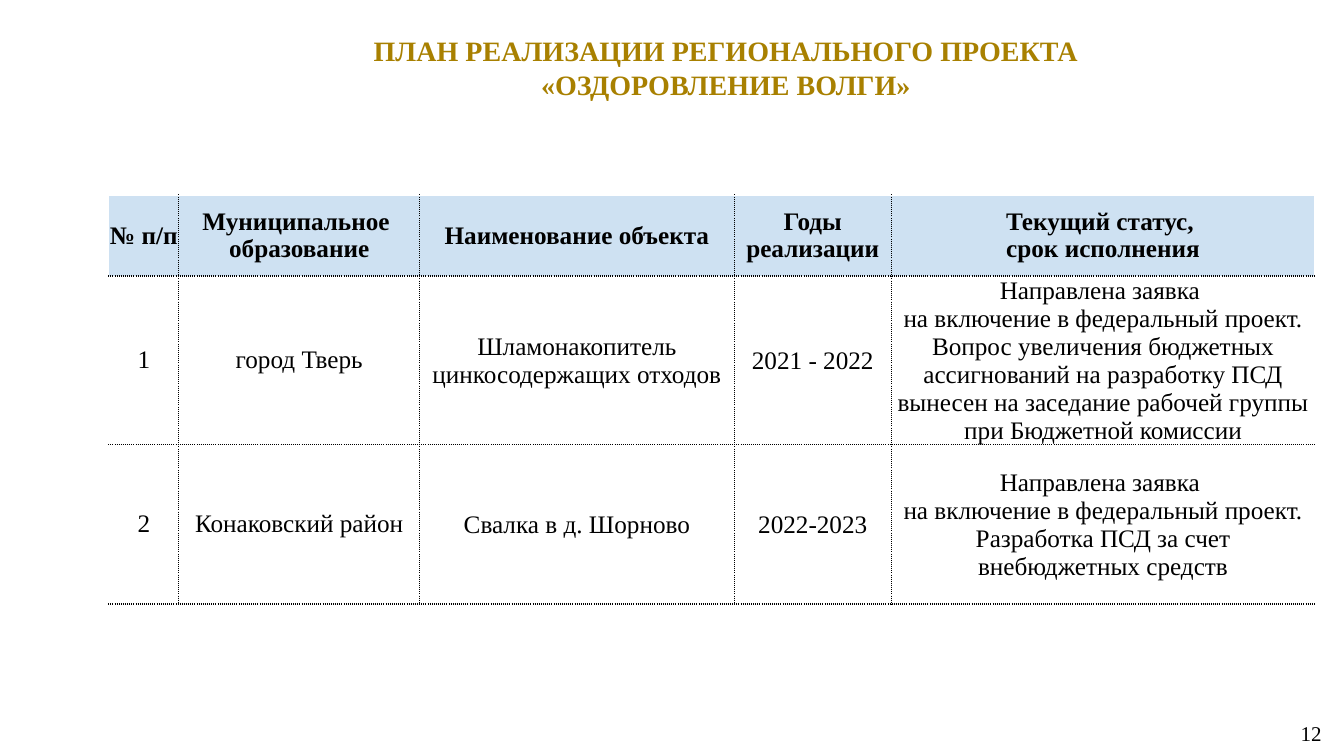
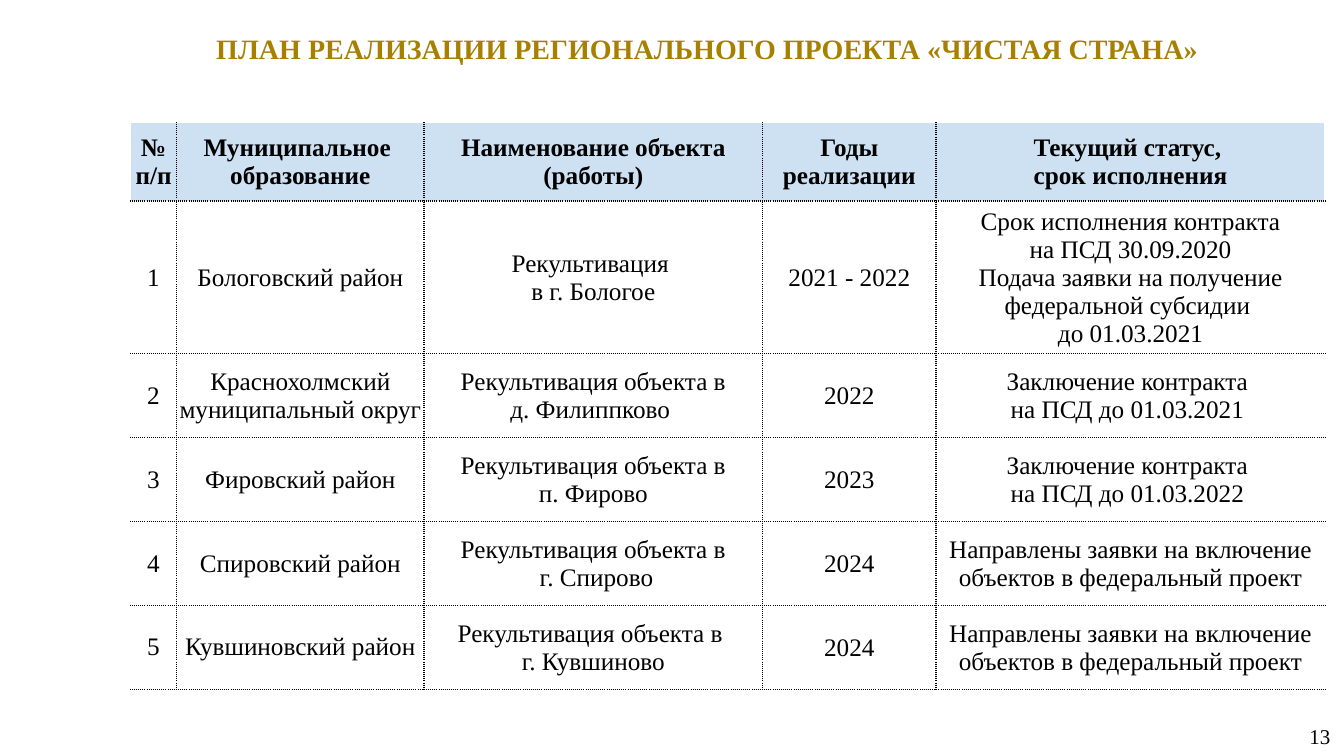
from dataclasses import dataclass

from lxml import etree
from pptx import Presentation
from pptx.dml.color import RGBColor
from pptx.enum.text import MSO_ANCHOR, PP_ALIGN
from pptx.oxml.ns import qn
from pptx.util import Inches, Pt

CENTER = PP_ALIGN.CENTER
TOP = MSO_ANCHOR.TOP
MIDDLE = MSO_ANCHOR.MIDDLE


@dataclass(frozen=True)
class Theme:
    font: str = "Times New Roman"
    ink: str = "000000"
    paper: str = "FFFFFF"
    gold: str = "A88000"
    header: str = "CEE1F2"
    title_size: int = 20
    table_size: int = 18
    number_size: int = 15
    border: int = 1
    cell_pad: float = 0.01


class Deck:
    def __init__(self, theme):
        self.theme = theme
        self.prs = Presentation()
        self.prs.slide_width = Inches(13.33)
        self.prs.slide_height = Inches(7.5)
        self.s = None

    def x(self, percent):
        return round(self.prs.slide_width * percent / 100)

    def y(self, percent):
        return round(self.prs.slide_height * percent / 100)

    def slide(self):
        self.s = self.prs.slides.add_slide(self.prs.slide_layouts[6])

    def add_text(self, tf, text, size, color, bold=False):
        paragraphs = (text,) if isinstance(text, str) else text
        for i, paragraph in enumerate(paragraphs):
            p = tf.paragraphs[0] if i == 0 else tf.add_paragraph()
            p.alignment = CENTER
            for j, line in enumerate(paragraph.split("\n")):
                if j:
                    p.add_line_break()
                r = p.add_run()
                r.text = line
                r.font.name = self.theme.font
                r.font.size = Pt(size)
                r.font.bold = bold
                r.font.color.rgb = RGBColor.from_string(color)

    def box(self, place, pad, anchor, text, size, color, bold=False):
        left, top, width, height = place
        sp = self.s.shapes.add_textbox(self.x(left), self.y(top), self.x(width), self.y(height))
        tf = sp.text_frame
        tf.word_wrap = True
        tf.vertical_anchor = anchor
        tf.margin_left = tf.margin_right = Inches(pad)
        tf.margin_top = tf.margin_bottom = Inches(pad / 2)
        self.add_text(tf, text, size, color, bold)

    def title(self, text, place, pad):
        self.box(place, pad, TOP, text, self.theme.title_size, self.theme.gold, True)

    def number(self, text, place):
        self.box(place, 0.08, MIDDLE, text, self.theme.number_size, self.theme.ink)

    def borders(self, cell, white_sides):
        tc_pr = cell._tc.get_or_add_tcPr()
        for i, side in enumerate("LRTB"):
            white = side in white_sides
            ln = etree.Element(qn(f"a:ln{side}"), w=str(Pt(self.theme.border)))
            fill = etree.SubElement(ln, qn("a:solidFill"))
            color = self.theme.paper if white else self.theme.ink
            etree.SubElement(fill, qn("a:srgbClr"), val=color)
            etree.SubElement(ln, qn("a:prstDash"), val="solid" if white else "sysDot")
            tc_pr.insert(i, ln)

    def table(self, left, top, columns, heights, rows):
        th = self.theme
        frame = self.s.shapes.add_table(len(rows), len(columns), self.x(left), self.y(top),
                                        self.x(sum(columns)), self.y(sum(heights)))
        table = frame.table
        table.first_row = table.horz_banding = False
        for column, width in zip(table.columns, columns):
            column.width = self.x(width)
        for row, height in zip(table.rows, heights):
            row.height = self.y(height)
        last = len(columns) - 1
        for i, row in enumerate(rows):
            for j, text in enumerate(row):
                cell = table.cell(i, j)
                pad = Inches(th.cell_pad if i > 0 and j > 1 else 0)
                cell.margin_left = cell.margin_right = cell.margin_top = pad
                cell.margin_bottom = 0
                cell.vertical_anchor = MIDDLE
                if i == 0:
                    cell.fill.solid()
                    cell.fill.fore_color.rgb = RGBColor.from_string(th.header)
                else:
                    cell.fill.background()
                white = ("T" if i == 0 else "") + {0: "L", last: "R"}.get(j, "")
                self.borders(cell, white)
                self.add_text(cell.text_frame, text, th.table_size, th.ink, i == 0)


def header(object_name):
    return ("№ п/п", "Муниципальное \nобразование", object_name,
            "Годы реализации", "Текущий статус, \nсрок исполнения")


APPLIED = "Направлена заявка \nна включение в федеральный проект."
APPLICATIONS = "Направлены заявки на включение объектов в федеральный проект"
RECLAIM = "Рекультивация объекта в "

VOLGA = [
    header("Наименование объекта"),
    ("1", "город Тверь", "Шламонакопитель цинкосодержащих отходов", "2021 - 2022",
     (APPLIED, "Вопрос увеличения бюджетных ассигнований на разработку ПСД "
               "вынесен на заседание рабочей группы при Бюджетной комиссии")),
    ("2", "Конаковский район", "Свалка в д. Шорново", "2022-2023",
     (APPLIED, "Разработка ПСД за счет внебюджетных средств")),
]

CLEAN_COUNTRY = [
    header("Наименование объекта (работы)"),
    ("1", "Бологовский район", "Рекультивация \nв г. Бологое", "2021 - 2022",
     ("Срок исполнения контракта", "на ПСД 30.09.2020",
      "Подача заявки на получение федеральной субсидии \nдо 01.03.2021")),
    ("2", "Краснохолмский муниципальный округ", (" " + RECLAIM, "д. Филиппково "), "2022",
     "Заключение контракта \nна ПСД до 01.03.2021 "),
    ("3", "Фировский район", (" " + RECLAIM, "п. Фирово"), "2023",
     "Заключение контракта \nна ПСД до 01.03.2022 "),
    ("4", "Спировский район", (RECLAIM.rstrip(), " г. Спирово"), "2024", APPLICATIONS),
    ("5", "Кувшиновский район", (RECLAIM, "г. Кувшиново"), "2024", APPLICATIONS),
]


def main():
    deck = Deck(Theme())

    deck.slide()
    deck.table(8.1, 25.8, (5.2, 17.93, 23.4, 11.7, 31.5), (10.7, 22.3, 21.1), VOLGA)
    deck.number("12", (95.1, 93.9, 4.9, 6.1))
    deck.title("ПЛАН РЕАЛИЗАЦИИ РЕГИОНАЛЬНОГО ПРОЕКТА «ОЗДОРОВЛЕНИЕ ВОЛГИ»",
               (18.5, 3.6, 71, 10.8), 0.13)

    deck.slide()
    deck.title(" ПЛАН РЕАЛИЗАЦИИ РЕГИОНАЛЬНОГО ПРОЕКТА «ЧИСТАЯ СТРАНА»",
               (9.7, 3.5, 85.3, 5.7), 0.1)
    deck.table(9.7, 16.2, (3.45, 18.4, 25.2, 12.9, 28.95), (10.4, 20.2) + (11.1,) * 4,
               CLEAN_COUNTRY)
    deck.number("13", (96.4, 94.7, 3.6, 5.3))

    deck.prs.save("out.pptx")


if __name__ == "__main__":
    main()
